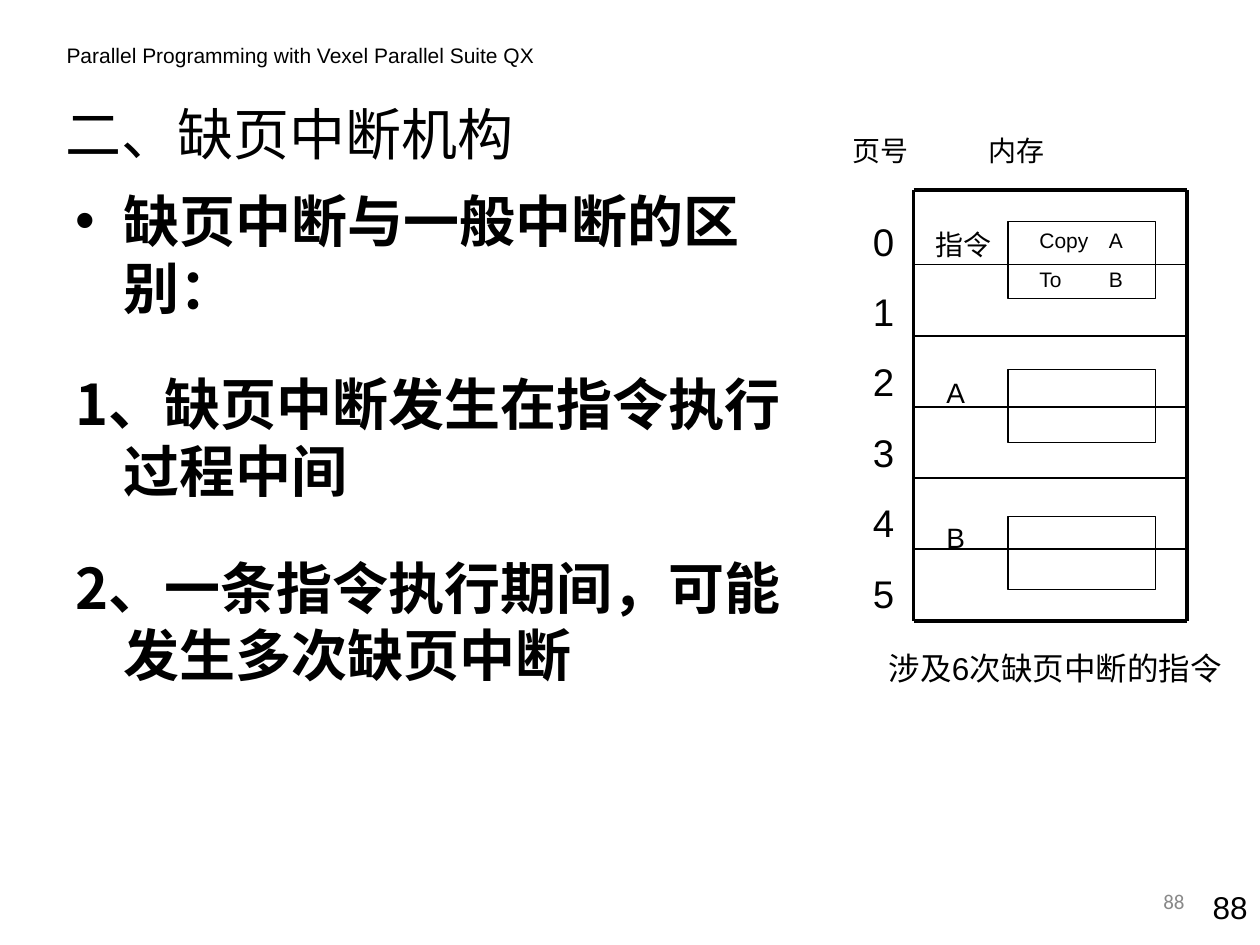
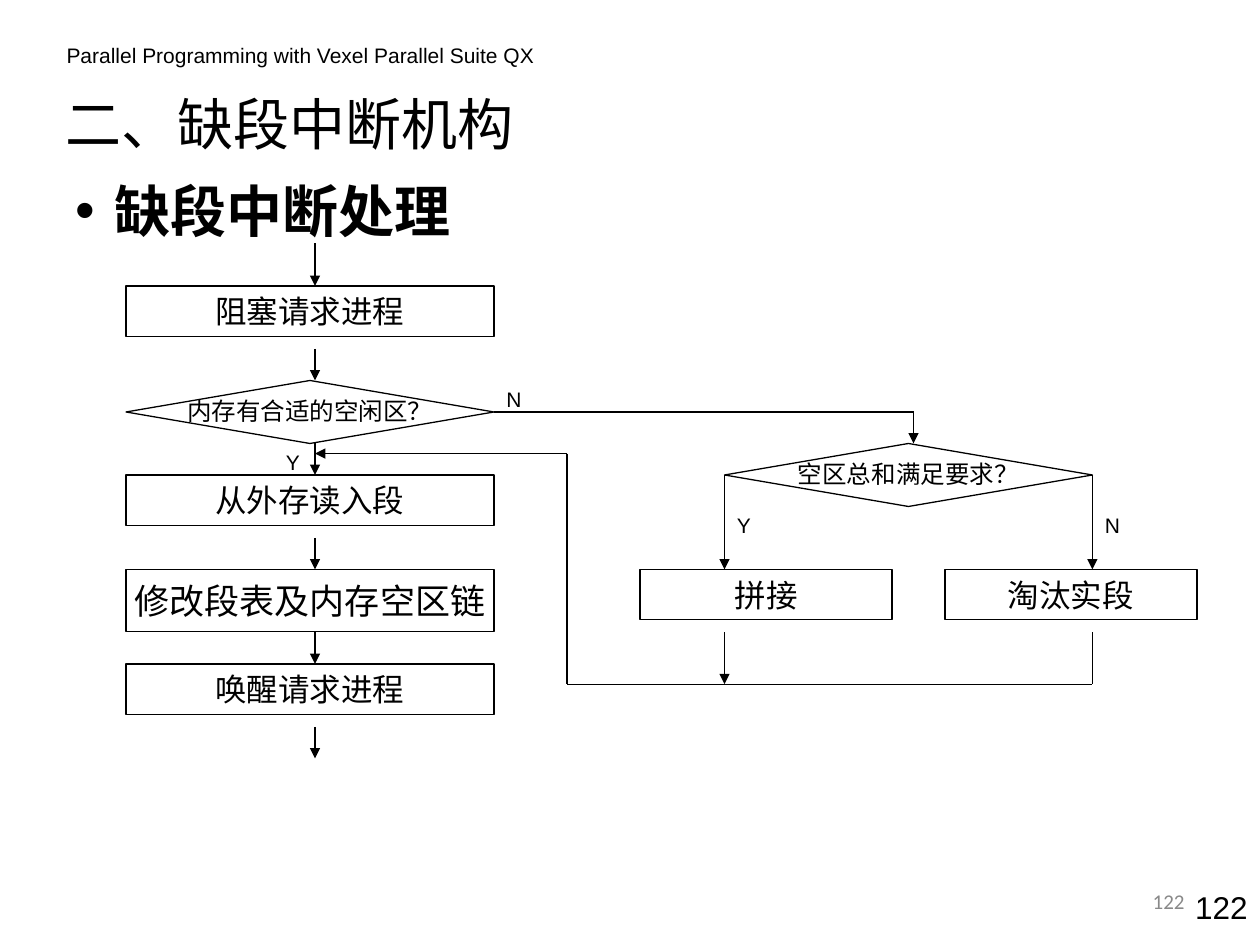
from pptx import Presentation
from pptx.dml.color import RGBColor
from pptx.enum.shapes import MSO_CONNECTOR, MSO_SHAPE
from pptx.enum.text import MSO_ANCHOR, PP_ALIGN
from pptx.oxml.ns import qn
from pptx.util import Inches, Pt
from lxml import etree

LEFT, MID, RIGHT = PP_ALIGN.LEFT, PP_ALIGN.CENTER, PP_ALIGN.RIGHT
TOP, CENTRE = MSO_ANCHOR.TOP, MSO_ANCHOR.MIDDLE
RECT, GEM = MSO_SHAPE.RECTANGLE, MSO_SHAPE.DIAMOND
STRAIGHT = MSO_CONNECTOR.STRAIGHT


class Theme:
    ink = RGBColor(0x00, 0x00, 0x00)
    grey = RGBColor(0x89, 0x89, 0x89)
    font, small, cjk = "Arial", "Calibri", "Noto Sans CJK SC"
    head, large, step, note, label, tiny = 32, 22, 18, 16, 14, 12
    wide = 20
    thin, rule, thick = 0.75, 1, 2.25


HEADER = "Parallel Programming with Vexel Parallel Suite QX"

# Page fault slide
FAULT = {
    "title": "二、缺页中断机构", "number": "88",
    "title_at": (0.42, 0.68, 5.67, 0.75), "number_at": (9.33, 7, 0.67, 0.4),
    "body": ["缺页中断与一般中断的区别：",
             "1、缺页中断发生在指令执行过程中间",
             "2、一条指令执行期间，可能发生多次缺页中断"],
    "body_at": (0.5, 1.43, 6, 4.5), "indent": 0.38,
}
PAGES = ["0", "1", "2", "3", "4", "5"]
CODE = ["Copy\tA", "To\tB"]
FRAMES = [("指令", 7.33, 1.76, LEFT), ("A", 7.25, 2.93, MID),
          ("B", 7.25, 4.08, MID)]
COLUMNS = "页号\t内存"
CAPTION = "涉及6次缺页中断的指令"

# Missing segment slide
SEGMENT = {
    "title": "二、缺段中断机构", "number": "122",
    "title_at": (0.42, 0.6, 8.92, 0.75), "number_at": (9.25, 7, 0.75, 0.4),
    "body": ["缺段中断处理"],
    "body_at": (0.5, 1.35, 9.33, 0.83), "indent": 0.31,
}
# text, left, top, width
STEPS = [("阻塞请求进程", 1, 2.27, 2.92), ("从外存读入段", 1, 3.77, 2.92),
         ("唤醒请求进程", 1, 5.27, 2.92),
         ("拼接", 5.08, 4.52, 2), ("淘汰实段", 7.5, 4.52, 2)]
UPDATE = "修改段表及内存空区链"
TESTS = [("内存有合适的空闲区？", 1, 3.02), ("空区总和满足要求？", 5.75, 3.52)]
ANSWERS = [("Y", 2.17, 3.52), ("N", 3.92, 3.02),
           ("Y", 5.75, 4.02), ("N", 8.67, 4.02)]
# x1, y1, x2, y2
ARROWS = [(2.5, 1.93, 2.5, 2.27)]
ARROWS += [(2.5, 2.77 + 0.75 * i, 2.5, 3.02 + 0.75 * i) for i in range(5)]
ARROWS += [(5.75, 3.77, 5.75, 4.52), (8.67, 3.77, 8.67, 4.52),
           (7.25, 3.27, 7.25, 3.52), (4.5, 3.6, 2.5, 3.6),
           (5.75, 5.02, 5.75, 5.43)]
LINES = [(3.92, 3.27, 7.25, 3.27), (4.5, 3.6, 4.5, 5.43),
         (4.5, 5.43, 8.67, 5.43), (8.67, 5.02, 8.67, 5.43)]


def write(shape, texts, size, font=Theme.font, color=Theme.ink, bold=False,
          align=LEFT, anchor=TOP, gap=0, inset=(0.1, 0.05), tab=None,
          hang=None):
    """Fill a shape with paragraphs; the first one is bulleted if they hang."""
    frame = shape.text_frame
    frame.word_wrap = True
    frame.vertical_anchor = anchor
    frame.margin_left = frame.margin_right = Inches(inset[0])
    frame.margin_top = frame.margin_bottom = Inches(inset[1])
    frame.text = "\n".join(texts)
    for i, para in enumerate(frame.paragraphs):
        para.alignment = align
        para.space_before = Pt(gap if i else 0)
        props = para._p.get_or_add_pPr()
        props.set("hangingPunct", "0")
        if hang:
            props.set("marL", str(Inches(hang)))
            props.set("indent", str(-Inches(hang)))
            if i == 0:
                face = etree.SubElement(props, qn("a:buFont"))
                face.set("typeface", Theme.font)
                etree.SubElement(props, qn("a:buChar")).set("char", "•")
        if tab:
            stops = etree.SubElement(props, qn("a:tabLst"))
            stop = etree.SubElement(stops, qn("a:tab"))
            stop.set("pos", str(Inches(tab)))
            stop.set("algn", "l")
        for run in para.runs:
            run.font.name, run.font.size = font, Pt(size)
            run.font.bold, run.font.color.rgb = bold, color
            east = etree.SubElement(run._r.get_or_add_rPr(), qn("a:ea"))
            east.set("typeface", Theme.cjk)


def label(slide, at, texts, size, **style):
    box = slide.shapes.add_textbox(*map(Inches, at))
    write(box, texts, size, **style)


def outline(slide, kind, at):
    shape = slide.shapes.add_shape(kind, *map(Inches, at))
    shape.shadow.inherit = False
    shape.fill.background()
    shape.line.color.rgb = Theme.ink
    shape.line.width = Pt(Theme.thin)
    return shape


def line(slide, ends, width=Theme.thin, arrow=False):
    link = slide.shapes.add_connector(STRAIGHT, *map(Inches, ends))
    link.line.color.rgb = Theme.ink
    link.line.width = Pt(width)
    props = link._element.spPr
    if arrow:
        tail = etree.SubElement(props.find(qn("a:ln")), qn("a:tailEnd"))
        tail.set("type", "triangle")
    etree.SubElement(props, qn("a:effectLst"))


def start(deck, page):
    """Add a slide with the header, title, body and both page numbers."""
    slide = deck.slides.add_slide(deck.slide_layouts[6])
    label(slide, (0.43, 0.29, 4.1, 0.3), [HEADER], Theme.tiny)
    label(slide, page["title_at"], [page["title"]], Theme.head,
          font=Theme.cjk, anchor=CENTRE)
    label(slide, page["body_at"], page["body"], Theme.head, font=Theme.cjk,
          bold=True, gap=28, hang=page["indent"])
    label(slide, page["number_at"], [page["number"]], Theme.step, align=RIGHT)
    label(slide, (7.17, 6.95, 2.33, 0.4), [page["number"]], Theme.tiny,
          font=Theme.small, color=Theme.grey, align=RIGHT, anchor=CENTRE)
    return slide


def fault(deck):
    slide = start(deck, FAULT)
    left, right, top, low = 7.25, 9.42, 1.51, 4.93
    for y in (top, low):
        line(slide, (left, y, right, y), Theme.thick)
    for x in (left, right):
        line(slide, (x, top, x, low), Theme.thick)
    for i in range(5):
        y = 2.1 + 0.565 * i
        line(slide, (left, y, right, y), Theme.rule)
    for y in (2.93, 4.1):
        outline(slide, RECT, (8, y, 1.17, 0.58))
    code = outline(slide, RECT, (8, 1.76, 1.17, 0.61))
    write(code, CODE, Theme.tiny, gap=7.5, inset=(0.25, 0.05), tab=0.55)
    label(slide, (6.83, 1.68, 0.58, 3.26), PAGES, Theme.large, gap=13.8)
    for text, x, y, align in FRAMES:
        label(slide, (x, y, 0.67, 0.37), [text], Theme.note, align=align)
    label(slide, (7, 5.1, 2.75, 0.7), [CAPTION], Theme.step, align=MID,
          inset=(0, 0.05))
    label(slide, (6.67, 1.01, 2.17, 0.37), [COLUMNS], Theme.note, tab=1.08)


def segment(deck):
    slide = start(deck, SEGMENT)
    for text, x, y, width in STEPS:
        box = outline(slide, RECT, (x, y, width, 0.4))
        write(box, [text], Theme.step, align=MID)
    box = outline(slide, RECT, (1, 4.52, 2.92, 0.49))
    write(box, [UPDATE], Theme.wide, align=MID, inset=(0, 0.08))
    for text, x, y in TESTS:
        label(slide, (x, y + 0.07, 2.92, 0.34), [text], Theme.label, align=MID)
        outline(slide, GEM, (x, y, 2.92, 0.5))
    for ends in ARROWS:
        line(slide, ends, arrow=True)
    for ends in LINES:
        line(slide, ends)
    for text, x, y in ANSWERS:
        label(slide, (x, y, 0.33, 0.3), [text], Theme.tiny)


def main():
    deck = Presentation()
    deck.slide_width, deck.slide_height = Inches(10), Inches(7.5)
    fault(deck)
    segment(deck)
    deck.save("out.pptx")


if __name__ == "__main__":
    main()
